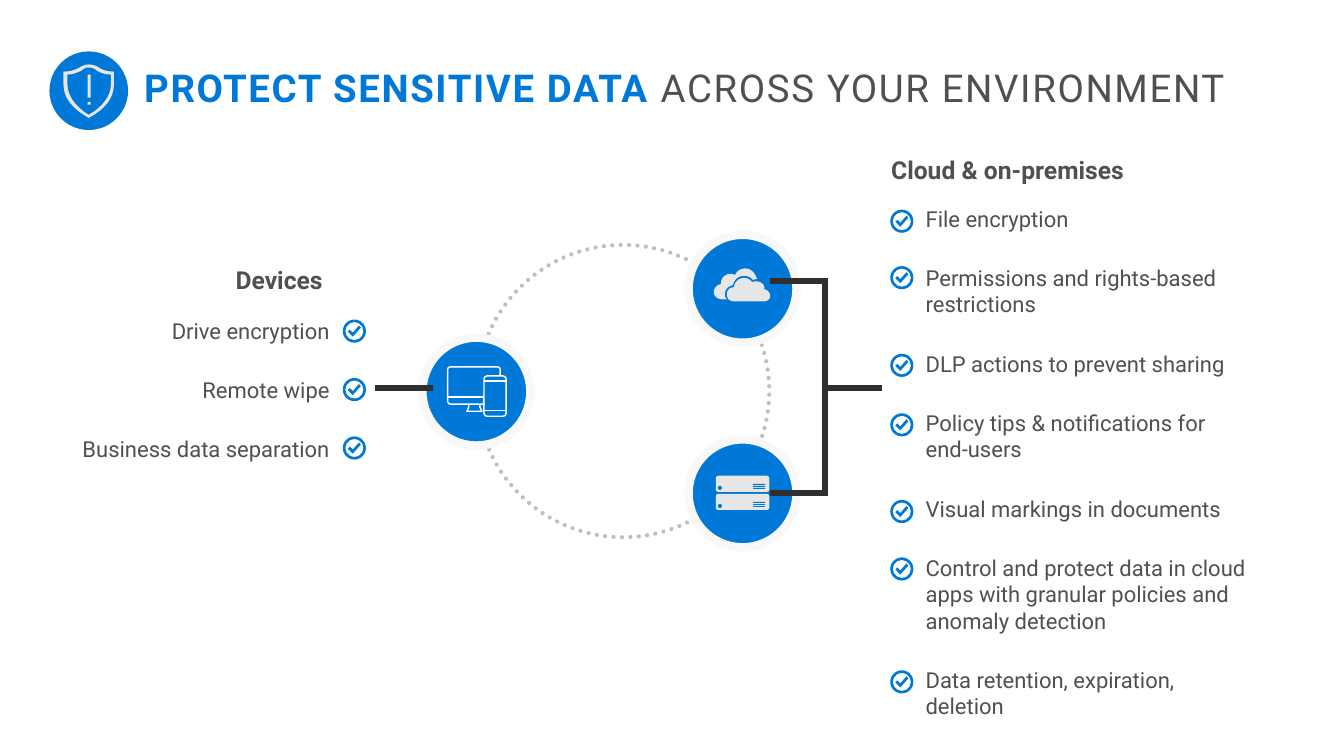
from lxml.etree import SubElement
from pptx import Presentation
from pptx.dml.color import RGBColor
from pptx.enum.dml import MSO_LINE as Dash
from pptx.enum.shapes import MSO_CONNECTOR as Wire, MSO_SHAPE as Kind
from pptx.enum.text import MSO_ANCHOR as Anchor, PP_ALIGN as Align
from pptx.oxml.ns import qn
from pptx.util import Pt

PX = 9144
BLUE = RGBColor(0x00, 0x78, 0xD7)
PALE = RGBColor(0xE6, 0xE6, 0xE6)
HALO = RGBColor(0xF8, 0xF8, 0xF8)
GRAY = RGBColor(0xBF, 0xBF, 0xBF)
TEXT = RGBColor(0x50, 0x50, 0x50)
DARK = RGBColor(0x2F, 0x2F, 0x2F)
WHITE = RGBColor(0xFF, 0xFF, 0xFF)

deck = Presentation()
deck.slide_width = 1333 * PX
deck.slide_height = 750 * PX
slide = deck.slides.add_slide(deck.slide_layouts[6])
shapes = slide.shapes


def paint(shape, fill, edge=None, width=1):
    shape.shadow.inherit = False
    if fill is None:
        shape.fill.background()
    else:
        shape.fill.solid()
        shape.fill.fore_color.rgb = fill
    if edge is None:
        shape.line.fill.background()
    else:
        shape.line.color.rgb = edge
        shape.line.width = Pt(width)


def trace(loops, fill, edge=None):
    pen = None
    for start, *steps in loops:
        dots, last = [], start
        for step in steps:
            if len(step) == 2:
                dots.append(step)
            else:
                ax, ay, bx, by, cx, cy = step
                for n in range(1, 9):
                    t = n / 8
                    u = 1 - t
                    a, b, c, d = u**3, 3 * u * u * t, 3 * u * t * t, t**3
                    dots.append((a * last[0] + b * ax + c * bx + d * cx,
                                 a * last[1] + b * ay + c * by + d * cy))
            last = step[-2:]
        if pen is None:
            pen = shapes.build_freeform(start[0] * PX, start[1] * PX)
        else:
            pen.move_to(start[0] * PX, start[1] * PX)
        pen.add_line_segments([(x * PX, y * PX) for x, y in dots], close=fill is not None)
    paint(pen.convert_to_shape(), fill, edge)


ring = shapes.add_shape(Kind.OVAL, 473 * PX, 243 * PX, 290 * PX, 290 * PX)
paint(ring, None, GRAY, 3)
ring.line.dash_style = Dash.ROUND_DOT
ring.element.spPr.find(qn("a:ln")).set("cap", "rnd")

parts = [
    (Kind.OVAL, 49, 51, 78, 78, BLUE, None, 0),
    (Kind.RECTANGLE, 87, 101, 3, 3, PALE, None, 0),
    (Kind.RECTANGLE, 87, 74, 3, 23, PALE, None, 0),
]
for x, y in ((683, 436), (683, 233), (419, 335)):
    parts.append((Kind.OVAL, x, y, 107, 107, BLUE, HALO, 6))
for top in (472, 490):
    parts.append((Kind.ROUNDED_RECTANGLE, 710, top, 53, 16, PALE, None, 0))
    parts.append((Kind.OVAL, 712, top + 10, 4, 4, BLUE, None, 0))
    for drop in (8, 10, 12):
        parts.append((Kind.RECTANGLE, 747, top + drop, 12, 1, BLUE, None, 0))
parts.append((Kind.ROUNDED_RECTANGLE, 480, 373, 22, 40, None, WHITE, 1))

for kind, x, y, w, h, fill, edge, width in parts:
    part = shapes.add_shape(kind, x * PX, y * PX, w * PX, h * PX)
    paint(part, fill, edge, width)
    if kind == Kind.ROUNDED_RECTANGLE:
        part.adjustments[0] = 0.15

shield = [
    [(88, 117), (72, 108, 63, 97, 63, 84), (63, 71), (65, 71),
     (70, 71, 75, 69, 79, 67), (82, 65, 85, 64, 88, 64),
     (92, 64, 95, 65, 98, 67), (101, 69, 106, 71, 112, 71), (113, 71),
     (113, 84), (113, 97, 105, 108, 88, 117)],
    [(67, 74), (67, 84), (67, 95, 75, 106, 88, 114),
     (102, 106, 110, 95, 110, 84), (110, 74), (104, 74, 99, 72, 96, 70),
     (94, 68, 91, 67, 88, 67), (85, 67, 83, 68, 81, 70),
     (77, 72, 72, 74, 67, 74)],
]
cloud = [
    [(758, 287), (758, 287, 764, 288, 764, 294), (764, 296, 762, 299, 758, 299),
     (729, 299), (723, 299, 721, 296, 721, 292), (721, 285, 728, 285, 728, 285),
     (728, 285, 729, 277, 736, 276), (741, 275, 745, 278, 746, 280),
     (746, 280, 750, 278, 754, 280), (756, 281, 759, 283, 758, 287)],
    [(719, 292), (719, 284, 727, 283, 727, 283), (727, 283, 728, 276, 735, 274),
     (741, 273, 745, 275, 747, 278), (747, 278, 748, 277, 751, 277),
     (750, 275, 749, 270, 743, 267), (737, 265, 731, 268, 729, 273),
     (729, 273, 725, 270, 720, 273), (717, 274, 715, 278, 715, 282),
     (715, 282, 708, 283, 708, 290), (708, 294, 712, 297, 716, 297),
     (721, 297), (719, 295, 719, 293, 719, 292)],
]
stand = [[(476, 401), (476, 404), (478, 408), (463, 408), (465, 404), (465, 401)]]
screen = [[(481, 401), (447, 401), (445, 401, 444, 399, 444, 398), (444, 367),
           (444, 365, 445, 364, 447, 364), (493, 364),
           (495, 364, 496, 365, 496, 367), (496, 373)]]
trace(shield, PALE)
trace(cloud, PALE)
trace(stand, None, WHITE)
trace(screen, None, WHITE)

wires = [
    (444, 394, 480, 394, WHITE, 1),
    (502, 407, 480, 407, WHITE, 1),
    (480, 378, 502, 378, WHITE, 1),
    (821, 279, 764, 279, DARK, 4.5),
    (821, 489, 764, 489, DARK, 4.5),
    (818, 490, 818, 279, DARK, 4.5),
    (875, 385, 818, 385, DARK, 4.5),
    (429, 385, 372, 385, DARK, 4.5),
]
for x, y, right, low, hue, width in wires:
    wire = shapes.add_connector(Wire.STRAIGHT, x * PX, y * PX, right * PX, low * PX)
    wire.line.color.rgb = hue
    wire.line.width = Pt(width)
    SubElement(wire.element.spPr, qn("a:effectLst"))

checks = [(883, y) for y in (208, 264, 351, 410, 496, 553, 665)]
checks += [(340, y) for y in (317, 375, 433)]
for x, y in checks:
    hoop = shapes.add_shape(Kind.DONUT, x * PX, y * PX, 23 * PX, 23 * PX)
    hoop.adjustments[0] = 0.11
    paint(hoop, BLUE)
    tick = [(5, 12), (7, 10), (10, 13), (16, 6), (18, 8), (10, 17)]
    trace([[(x + dx, y + dy) for dx, dy in tick]], BLUE)

title = [[("PROTECT SENSITIVE DATA ", BLUE, True), ("ACROSS YOUR ENVIRONMENT", TEXT, False)]]
local = ["Drive encryption", "Remote wipe", "Business data separation"]
remote = [
    "File encryption",
    "Permissions and rights-based restrictions",
    "DLP actions to prevent sharing",
    "Policy tips & notifications for end-users",
    "Visual markings in documents",
    "Control and protect data in cloud apps with granular policies and anomaly detection",
    "Data retention, expiration, deletion",
]
boxes = [
    (127, 51, 1157, 76, (16, 10, 0, 10), Anchor.MIDDLE, True, Align.LEFT, 27.4, title),
    (0, 280, 371, 213, (20, 16, 44, 16), Anchor.MIDDLE, True, Align.RIGHT, 15.7,
     [[(item, TEXT, False)] for item in local]),
    (874, 231, 382, 455, (44, 16, 20, 16), Anchor.MIDDLE, True, Align.LEFT, 15.7,
     [[(item, TEXT, False)] for item in remote]),
    (222, 258, 108, 40, (10, 5, 10, 5), Anchor.TOP, False, Align.RIGHT, 17.6,
     [[("Devices", TEXT, True)]]),
    (874, 149, 266, 40, (10, 5, 10, 5), Anchor.TOP, False, Align.LEFT, 17.6,
     [[("Cloud & on-premises", TEXT, True)]]),
]
for x, y, w, h, inset, anchor, wrap, align, size, lines in boxes:
    frame = shapes.add_textbox(x * PX, y * PX, w * PX, h * PX).text_frame
    frame.margin_left, frame.margin_top, frame.margin_right, frame.margin_bottom = [
        n * PX for n in inset]
    frame.vertical_anchor = anchor
    frame.word_wrap = wrap
    for n, line in enumerate(lines):
        para = frame.add_paragraph() if n else frame.paragraphs[0]
        para.alignment = align
        if lines is title:
            para.line_spacing = 0.9
        else:
            para.space_after = Pt(23.5)
        for words, hue, bold in line:
            run = para.add_run()
            run.text = words
            run.font.name = "Roboto"
            run.font.size = Pt(size)
            run.font.bold = bold
            run.font.color.rgb = hue
            if lines is title:
                run.font._element.set("spc", "120")

deck.save("out.pptx")
